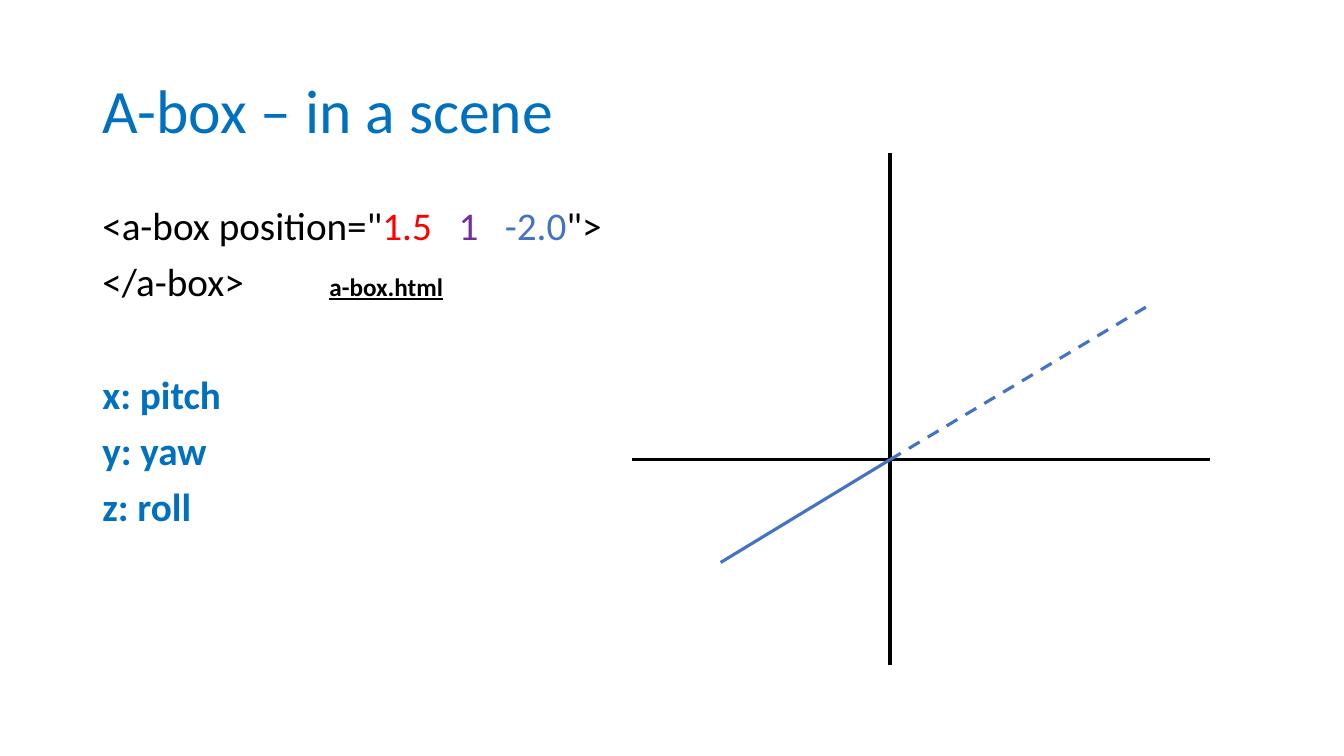
from dataclasses import dataclass

from lxml.etree import SubElement
from pptx import Presentation
from pptx.dml.color import RGBColor
from pptx.enum.dml import MSO_LINE
from pptx.enum.shapes import MSO_CONNECTOR
from pptx.enum.text import MSO_ANCHOR, MSO_AUTO_SIZE, PP_ALIGN
from pptx.oxml.ns import qn
from pptx.util import Pt

COLORS = {
    "title": "0070C0",
    "text": "000000",
    "x": "FF0000",
    "y": "7030A0",
    "z": "4472C4",
}
FONT = "Calibri"
Point = tuple[float, float]


@dataclass
class Span:
    text: str
    color: str = "text"
    bold: bool = False


@dataclass
class TextLine:
    spans: list[Span]
    space_before: float = 10


@dataclass
class Axis:
    start: Point
    end: Point
    color: str = "text"
    dashed: bool = False


ORIGIN: Point = (635.76, 328.32)

BODY_LINES = [
    TextLine([
        Span('<a-box position="'),
        Span("1.5   ", "x"),
        Span("1   ", "y"),
        Span("-2.0", "z"),
        Span('">'),
    ], space_before=0),
    TextLine([Span("</a-box>")]),
    TextLine([Span("x: pitch", "title", bold=True)], space_before=50),
    TextLine([Span("y: yaw", "title", bold=True)]),
    TextLine([Span("z: roll", "title", bold=True)]),
]

AXES = [
    Axis((451.44, ORIGIN[1]), (864, ORIGIN[1])),
    Axis((ORIGIN[0], 475.2), (ORIGIN[0], 109.44)),
    Axis((514.8, 401.76), ORIGIN, "z"),
    Axis(ORIGIN, (819.36, 218.88), "z", dashed=True),
]


def add_text(paragraph, text: str, *, size: float, color: str = "text",
             bold: bool = False, underline: bool = False) -> None:
    run = paragraph.add_run()
    run.text = text
    run.font.name = FONT
    run.font.size = Pt(size)
    run.font.bold = bold
    run.font.underline = underline
    run.font.color.rgb = RGBColor.from_string(COLORS[color])


def place(shape, left: float, top: float, width: float, height: float) -> None:
    shape.left, shape.top = Pt(left), Pt(top)
    shape.width, shape.height = Pt(width), Pt(height)


def add_axis(slide, axis: Axis) -> None:
    connector = slide.shapes.add_connector(
        MSO_CONNECTOR.STRAIGHT, *(Pt(value) for value in axis.start + axis.end))
    connector.line.color.rgb = RGBColor.from_string(COLORS[axis.color])
    connector.line.width = Pt(2.25)
    if axis.dashed:
        connector.line.dash_style = MSO_LINE.DASH
    SubElement(connector._element.spPr, qn("a:effectLst"))


def add_title(slide) -> None:
    title = slide.shapes.title
    place(title, 66, 28.8, 828, 104.4)
    frame = title.text_frame
    frame.auto_size = MSO_AUTO_SIZE.NONE
    frame.vertical_anchor = MSO_ANCHOR.MIDDLE
    paragraph = frame.paragraphs[0]
    paragraph.alignment = PP_ALIGN.LEFT
    paragraph.line_spacing = 0.9
    add_text(paragraph, "A-box – in a scene", size=44, color="title")


def add_body(slide) -> None:
    body = slide.shapes.add_textbox(Pt(66), Pt(144), Pt(828), Pt(342.72))
    frame = body.text_frame
    frame.word_wrap = True
    for index, line in enumerate(BODY_LINES):
        paragraph = frame.add_paragraph() if index else frame.paragraphs[0]
        paragraph.line_spacing = 0.9
        paragraph.space_before = Pt(line.space_before)
        for span in line.spans:
            add_text(paragraph, span.text, size=28, color=span.color, bold=span.bold)


def add_file_label(slide) -> None:
    label = slide.shapes.add_textbox(Pt(228.24), Pt(190.08), Pt(96.48), Pt(28.8))
    frame = label.text_frame
    frame.word_wrap = False
    frame.auto_size = MSO_AUTO_SIZE.SHAPE_TO_FIT_TEXT
    add_text(frame.paragraphs[0], "a-box.html", size=18, bold=True, underline=True)


def main() -> None:
    presentation = Presentation()
    presentation.slide_width, presentation.slide_height = Pt(960), Pt(540)
    slide = presentation.slides.add_slide(presentation.slide_layouts.get_by_name("Title Only"))

    # Title and code
    add_title(slide)
    add_body(slide)

    # Coordinate axes, with the far half of z dashed
    for axis in AXES:
        add_axis(slide, axis)

    # File name beside the closing tag
    add_file_label(slide)

    presentation.save("out.pptx")


if __name__ == "__main__":
    main()
